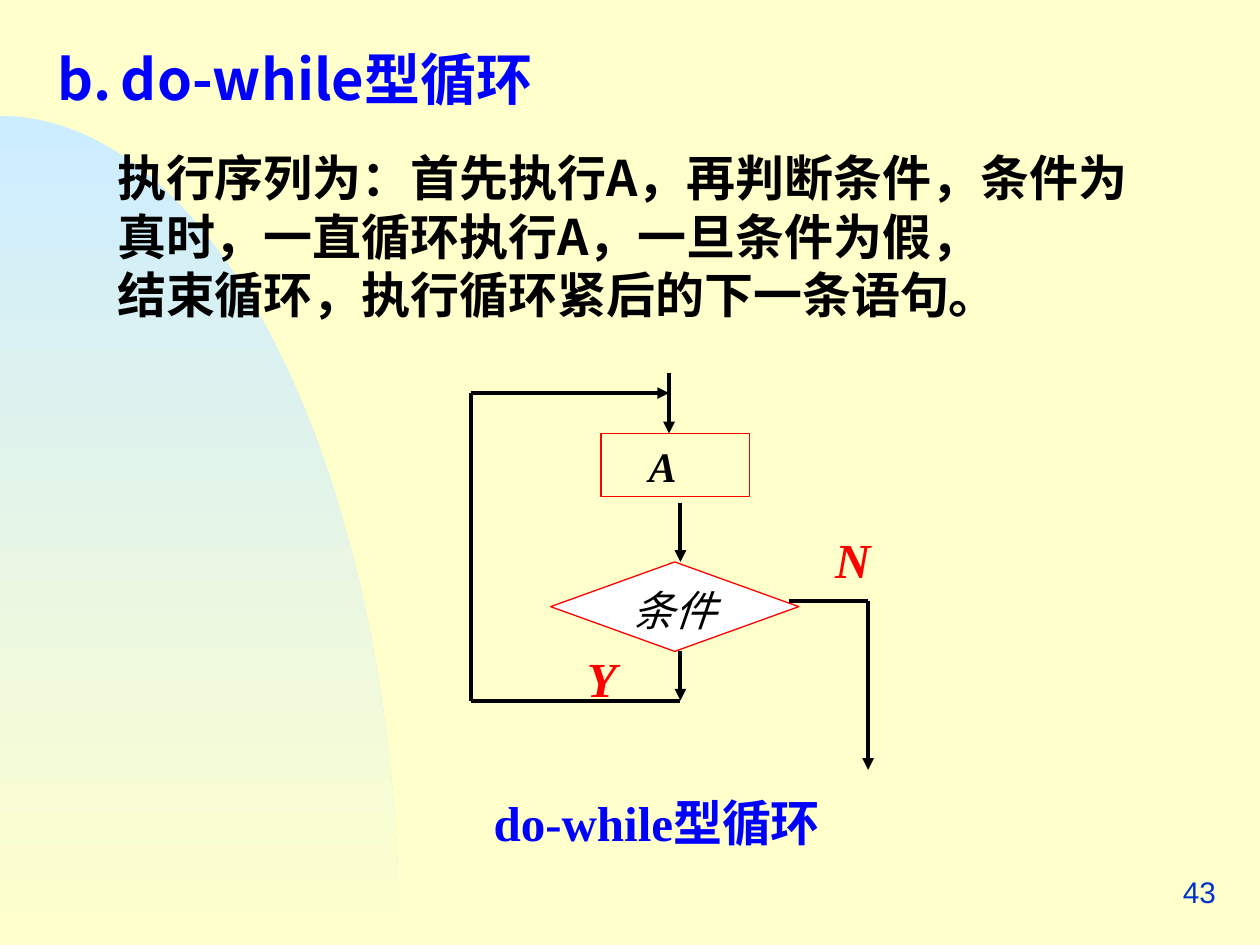
from dataclasses import dataclass

from lxml import etree
from pptx import Presentation
from pptx.dml.color import RGBColor
from pptx.enum.shapes import MSO_CONNECTOR, MSO_SHAPE
from pptx.enum.text import MSO_ANCHOR, MSO_AUTO_SIZE, PP_ALIGN
from pptx.oxml.ns import qn
from pptx.util import Inches, Pt

STRAIGHT = MSO_CONNECTOR.STRAIGHT
RECTANGLE = MSO_SHAPE.RECTANGLE
DECISION = MSO_SHAPE.FLOWCHART_DECISION
TOP, MIDDLE = MSO_ANCHOR.TOP, MSO_ANCHOR.MIDDLE
LEFT, RIGHT = PP_ALIGN.LEFT, PP_ALIGN.RIGHT
NO_AUTOFIT = MSO_AUTO_SIZE.NONE

SANS, SERIF, NUMBER_FONT = "Noto Sans CJK SC", "Times New Roman", "Arial"
INK, BLUE, RED = "010000", "0000FF", "FF0000"
LINE_HEIGHT = 1.2


@dataclass(frozen=True)
class Style:
    size: float
    font: str = SERIF
    color: str = INK
    bold: bool = True
    italic: bool = False
    align: PP_ALIGN = LEFT
    anchor: MSO_ANCHOR = TOP
    indent: float = 0
    tab: float = 0
    top_inset: float = 0.1


@dataclass(frozen=True)
class Label:
    text: str
    box: tuple[float, float, float, float]
    style: Style


@dataclass(frozen=True)
class FlowLine:
    start: tuple[float, float]
    end: tuple[float, float]
    arrow: bool = False


TITLE = Style(32, SANS, BLUE, tab=1)
BODY = Style(28, SANS)
BRANCH = Style(28, color=RED, italic=True, indent=0.19, top_inset=0.06)
STEP = Style(24, italic=True, indent=0.28, top_inset=0.06)
CONDITION = Style(24, bold=False, italic=True)
CAPTION = Style(28, color=BLUE)
PAGE_NUMBER = Style(17, NUMBER_FONT, "0033CC", bold=False, align=RIGHT,
                    anchor=MIDDLE, top_inset=0.05)

LABELS = [
    Label("条件", (4.92, 4.54, 1.18, 0.5), CONDITION),
    Label("N", (6.34, 4.14, 0.95, 0.57), BRANCH),
    Label("Y", (4.37, 5.09, 0.95, 0.57), BRANCH),
    Label("do-while型循环", (3.82, 6.19, 3.23, 0.57), CAPTION),
    Label("43", (7.67, 6.83, 2.08, 0.5), PAGE_NUMBER),
]

ENTRY_X, FLOW_X, LOOP_X, EXIT_X = 5.31, 5.4, 3.74, 6.89
LOOP_TOP, LOOP_BOTTOM, EXIT_Y = 3.12, 5.56, 4.77
FLOW_LINES = [
    FlowLine((6.26, EXIT_Y), (EXIT_X, EXIT_Y)),
    FlowLine((EXIT_X, EXIT_Y), (EXIT_X, 6.11), arrow=True),
    FlowLine((FLOW_X, 3.99), (FLOW_X, 4.46), arrow=True),
    FlowLine((FLOW_X, 5.17), (FLOW_X, LOOP_BOTTOM), arrow=True),
    FlowLine((FLOW_X, LOOP_BOTTOM), (LOOP_X, LOOP_BOTTOM)),
    FlowLine((LOOP_X, LOOP_TOP), (LOOP_X, LOOP_BOTTOM)),
    FlowLine((LOOP_X, LOOP_TOP), (ENTRY_X, LOOP_TOP), arrow=True),
    FlowLine((ENTRY_X, 2.96), (ENTRY_X, 3.44), arrow=True),
]


def rgb(color: str) -> RGBColor:
    return RGBColor.from_string(color)


def place(shape, box: tuple[float, float, float, float]) -> None:
    shape.left, shape.top, shape.width, shape.height = map(Inches, box)


def write(shape, texts: list[str], style: Style) -> None:
    """Fill a shape with one plain, unbulleted paragraph per text."""
    frame = shape.text_frame
    frame.word_wrap = True
    frame.auto_size = NO_AUTOFIT
    frame.vertical_anchor = style.anchor
    frame.margin_left = frame.margin_right = Inches(0.1)
    frame.margin_top, frame.margin_bottom = Inches(style.top_inset), Inches(0.05)
    for index, text in enumerate(texts):
        paragraph = frame.add_paragraph() if index else frame.paragraphs[0]
        paragraph.alignment = style.align
        paragraph.space_before = Pt(0)
        paragraph.line_spacing = Pt(round(style.size * LINE_HEIGHT, 1))
        properties = paragraph._p.get_or_add_pPr()
        properties.set("marL", str(Inches(style.indent)))
        properties.set("indent", "0")
        etree.SubElement(properties, qn("a:buNone"))
        if style.tab:
            tabs = etree.SubElement(properties, qn("a:tabLst"))
            etree.SubElement(tabs, qn("a:tab"), pos=str(Inches(style.tab)), algn="l")
        run = paragraph.add_run()
        run.text = text
        font = run.font
        font.size, font.name = Pt(style.size), style.font
        font.bold, font.italic = style.bold, style.italic
        font.color.rgb = rgb(style.color)
        etree.SubElement(run._r.get_or_add_rPr(), qn("a:ea"), typeface=SANS)


def add_label(slide, label: Label) -> None:
    write(slide.shapes.add_textbox(*map(Inches, label.box)), [label.text], label.style)


def add_node(slide, kind: MSO_SHAPE, box: tuple[float, float, float, float]):
    shape = slide.shapes.add_shape(kind, *map(Inches, box))
    shape.shadow.inherit = False
    shape.fill.background()
    shape.line.color.rgb = rgb(RED)
    shape.line.width = Pt(0.75)
    return shape


def add_flow_line(slide, flow_line: FlowLine) -> None:
    connector = slide.shapes.add_connector(
        STRAIGHT, *map(Inches, flow_line.start + flow_line.end))
    connector.line.color.rgb = rgb(INK)
    connector.line.width = Pt(2.25)
    if flow_line.arrow:
        etree.SubElement(connector.line._get_or_add_ln(), qn("a:tailEnd"), type="triangle")
    etree.SubElement(connector._element.spPr, qn("a:effectLst"))


def add_backdrop(slide, steps: int = 80):
    """Draw the quarter ellipse at the left edge as a sampled cubic curve."""
    (x0, y0), (x1, y1), (x2, y2), (x3, y3) = (
        (0, 0.92), (1.75, 0.92), (3.17, 3.87), (3.17, 7.5))

    def cubic(t: float, a: float, b: float, c: float, d: float) -> int:
        s = 1 - t
        return Inches(s**3 * a + 3 * s * s * t * b + 3 * s * t * t * c + t**3 * d)

    curve = [(cubic(i / steps, x0, x1, x2, x3), cubic(i / steps, y0, y1, y2, y3))
             for i in range(steps + 1)]
    builder = slide.shapes.build_freeform(*curve[0])
    builder.add_line_segments(curve[1:] + [(Inches(x0), Inches(y3))], close=True)
    shape = builder.convert_to_shape()
    shape.shadow.inherit = False
    shape.line.fill.background()
    shape.fill.gradient()
    shape.fill.gradient_angle = 270
    for stop, color in zip(shape.fill.gradient_stops, ("CCECFF", "FFFFCC")):
        stop.color.rgb = rgb(color)
    for stop, position in zip(shape.fill.gradient_stops, (0, 1)):
        stop.position = position
    return shape


def main() -> None:
    presentation = Presentation()
    presentation.slide_width, presentation.slide_height = Inches(10), Inches(7.5)
    slide = presentation.slides.add_slide(presentation.slide_layouts[1])
    slide.background.fill.solid()
    slide.background.fill.fore_color.rgb = rgb("FFFFCC")

    title, body = slide.shapes.title, slide.placeholders[1]
    title._element.addprevious(add_backdrop(slide)._element)
    place(title, (0.36, 0.25, 4.78, 0.64))
    write(title, ["b.\tdo-while型循环"], TITLE)
    place(body, (0.83, 1.07, 8.35, 1.5))
    write(body, ["执行序列为：首先执行A，再判断条件，条件为真时，一直循环执行A，一旦条件为假，",
                 "结束循环，执行循环紧后的下一条语句。"], BODY)

    decision = add_node(slide, DECISION, (4.37, 4.46, 1.97, 0.71))
    decision.fill.solid()
    decision.fill.fore_color.rgb = rgb("FFFFFF")
    write(add_node(slide, RECTANGLE, (4.77, 3.44, 1.18, 0.5)), ["A"], STEP)
    for flow_line in FLOW_LINES:
        add_flow_line(slide, flow_line)
    for label in LABELS:
        add_label(slide, label)
    presentation.save("out.pptx")


if __name__ == "__main__":
    main()
